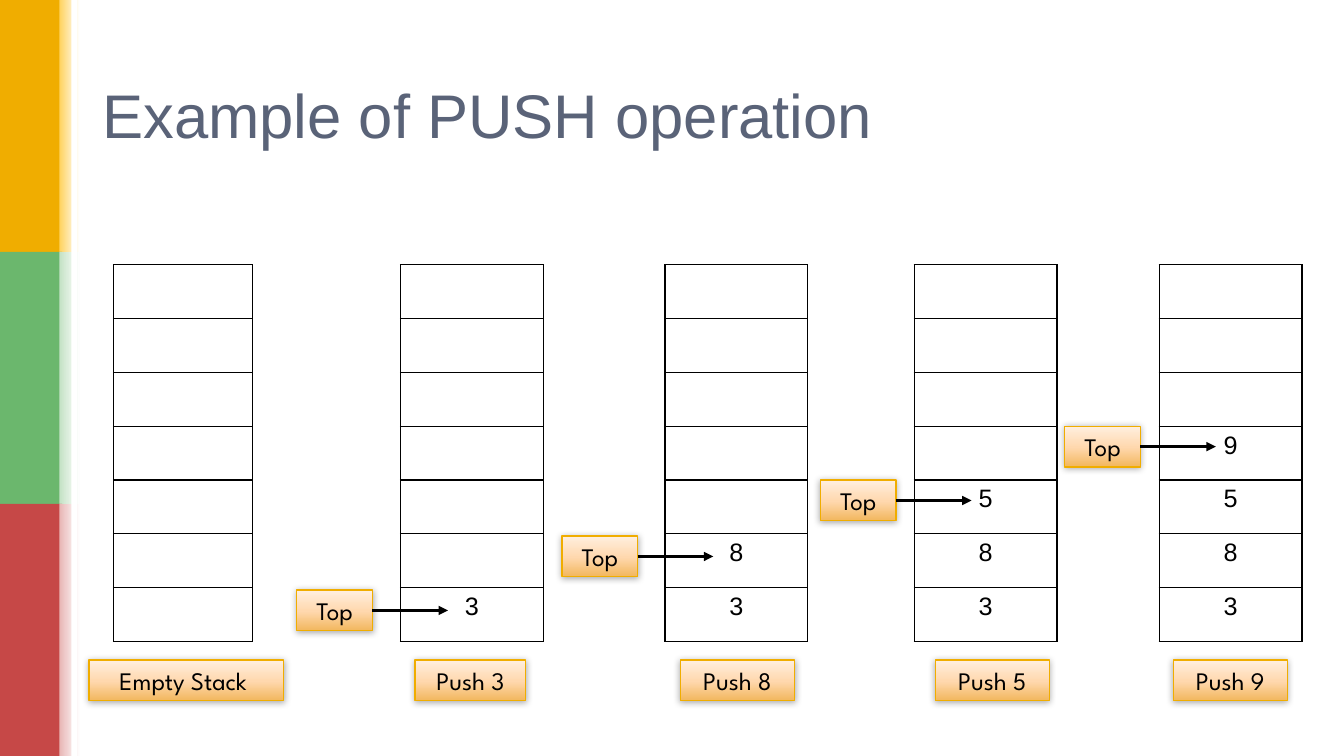
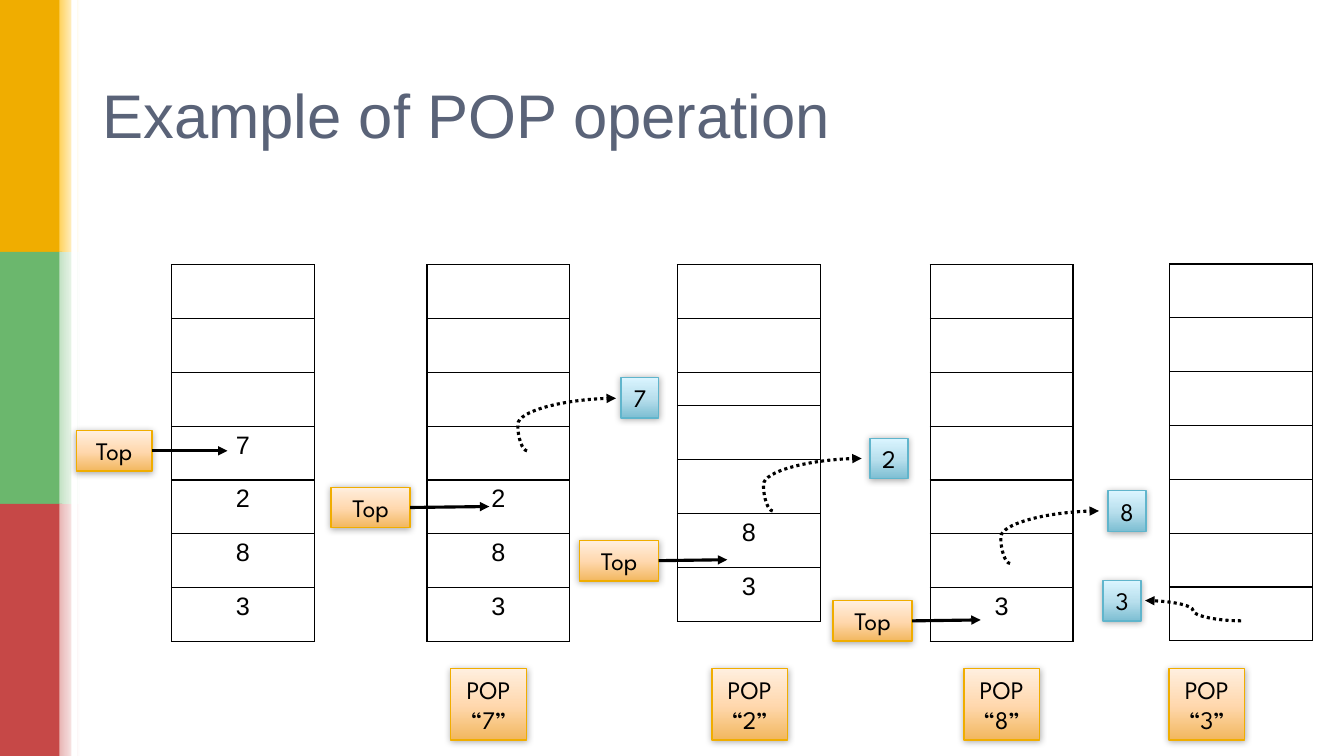
from copy import deepcopy
from lxml import etree
from pptx import Presentation
from pptx.dml.color import RGBColor
from pptx.enum.dml import MSO_LINE
from pptx.enum.shapes import MSO_CONNECTOR, MSO_SHAPE
from pptx.enum.text import MSO_ANCHOR, PP_ALIGN
from pptx.oxml.ns import qn
from pptx.util import Pt

RECT = MSO_SHAPE.RECTANGLE
LINE = MSO_CONNECTOR.STRAIGHT
CURVE = MSO_CONNECTOR.CURVE
DOTS = MSO_LINE.ROUND_DOT
MIDDLE = MSO_ANCHOR.MIDDLE
CENTER = PP_ALIGN.CENTER

BLACK = RGBColor(0, 0, 0)
WHITE = RGBColor(255, 255, 255)
SLATE = RGBColor(0x5A, 0x63, 0x78)
GOLD = RGBColor(0xF0, 0xAD, 0x00)
GREEN = RGBColor(0x6B, 0xB7, 0x6D)
RED = RGBColor(0xC6, 0x48, 0x47)
CYAN = RGBColor(0x60, 0xB5, 0xCC)
PALE_GOLD = RGBColor(0xFF, 0xD2, 0x5D)
PALE_GREEN = RGBColor(0xC4, 0xE2, 0xC5)
PALE_RED = RGBColor(0xE8, 0xB6, 0xB5)

PEACH = (
    (0, RGBColor(0xF2, 0xB7, 0x5E)),
    (0.48, RGBColor(0xFF, 0xD8, 0xAE)),
    (1, RGBColor(0xFF, 0xEF, 0xDF)),
)
AQUA = (
    (0, RGBColor(0x7D, 0xBE, 0xD2)),
    (0.48, RGBColor(0xB8, 0xDF, 0xED)),
    (1, RGBColor(0xDB, 0xF5, 0xFF)),
)

TITLE = {"size": Pt(44), "name": "Arial"}
DIGIT = {"size": Pt(18), "name": "Arial"}
LABEL = {"size": Pt(18), "name": "League Spartan"}
SHADE = {"blurRad": "63500", "dist": "12700", "dir": "5400000", "rotWithShape": "0"}
BANDS = ((GOLD, PALE_GOLD), (GREEN, PALE_GREEN), (RED, PALE_RED))
ROWS, ROW, SHORT = 7, 38.47, 24

PAGES = [
    {
        "title": "Example of PUSH operation",
        "stacks": [
            (81, 189, 99.5, ""),
            (286, 189, 102, "3"),
            (475, 189, 102, "83"),
            (653, 189, 102, "583"),
            (828, 189, 102, "9583"),
        ],
        "labels": [
            (63.5, 471.5, 139, 29, "Empty Stack "),
            (296.5, 471.5, 79, 29, "Push 3"),
            (486, 471.5, 81.5, 29, "Push 8"),
            (668, 471.5, 81.5, 29, "Push 5"),
            (838, 471.5, 81.5, 29, "Push 9"),
        ],
        "tops": [
            (212, 421.5, 54, 54, 0),
            (401.5, 383, 54, 54, 0),
            (586, 343, 54, 54, 0),
            (760.5, 304.5, 54, 54, 0),
        ],
        "popped": [],
    },
    {
        "title": "Example of POP operation",
        "stacks": [
            (122.5, 189, 102, "7283"),
            (305, 189, 102, "283"),
            (484, 189, 102, "83"),
            (664.5, 189, 102, "3"),
            (835.5, 188.5, 102, ""),
        ],
        "short": (2, 2),
        "labels": [
            (322, 477.5, 54, 51, "POP “7”"),
            (508.5, 477.5, 54, 51, "POP “2”"),
            (688.5, 477.5, 54, 51, "POP “8”"),
            (835, 477.5, 54, 51, "POP “3”"),
        ],
        "tops": [
            (54.5, 307.5, 54, 54, 0),
            (236.5, 348, 56.5, 56.5, 0.7),
            (414, 386, 56.5, 49, 0.7),
            (595, 429, 56.5, 49, 0.7),
        ],
        "popped": [
            ("7", 443.5, 269.5, (376.5, 322, 440, 284.5), -10500),
            ("2", 621.5, 313, (552, 365, 615.5, 327.5), -10500),
            ("8", 791.5, 350.5, (721.5, 402.5, 785, 365), -10500),
            ("3", 788, 414.5, (886.5, 443.5, 818, 429), 50000),
        ],
    },
]


def block(page, spot, stops, edge=None, text=""):
    box = page.shapes.add_shape(RECT, *map(Pt, spot))
    box.shadow.inherit = False
    props = box._element.spPr
    if len(stops) == 1:
        box.fill.solid()
        box.fill.fore_color.rgb = stops[0][1]
    else:
        box.fill.gradient()
        box.fill.gradient_angle = 90 if edge else 0
        ramp = props.find(".//" + qn("a:gsLst"))
        for _ in stops[2:]:
            ramp.append(deepcopy(ramp[0]))
        for stop, (place, tint) in zip(box.fill.gradient_stops, stops):
            stop.color.rgb = tint
            stop.position = place
    if edge is None:
        box.line.fill.background()
        return
    box.line.color.rgb = edge
    box.line.width = Pt(1)
    effects = props.find(qn("a:effectLst"))
    shade = etree.SubElement(effects, qn("a:outerShdw"), SHADE)
    tint = etree.SubElement(shade, qn("a:srgbClr"), val="000000")
    etree.SubElement(tint, qn("a:alpha"), val="32000")
    frame = box.text_frame
    frame.word_wrap = True
    frame.vertical_anchor = MIDDLE
    para = frame.paragraphs[0]
    para.alignment = CENTER
    run = para.add_run()
    run.text = text
    run.font.color.rgb = BLACK
    for key, value in LABEL.items():
        setattr(run.font, key, value)


def arrow(page, kind, ends, bend=None):
    link = page.shapes.add_connector(kind, *map(Pt, ends))
    link.line.color.rgb = BLACK
    link.line.width = Pt(2.25)
    props = link._element.spPr
    if bend is not None:
        link.line.dash_style = DOTS
        guides = props.find(".//" + qn("a:avLst"))
        etree.SubElement(guides, qn("a:gd"), name="adj1", fmla=f"val {bend}")
    etree.SubElement(props.find(qn("a:ln")), qn("a:tailEnd"), type="triangle")
    etree.SubElement(props, qn("a:effectLst"))


deck = Presentation()
deck.slide_width, deck.slide_height = Pt(960), Pt(540)

for data in PAGES:
    page = deck.slides.add_slide(deck.slide_layouts[6])

    for row, (dark, pale) in enumerate(BANDS):
        block(page, (0, row * 180, 44.5, 180), ((0, dark),))
        block(page, (42.5, row * 180, 14.5, 180), ((0, pale), (1, WHITE)))
    block(page, (51, 0, 4, 540), ((0, WHITE),))

    title = page.shapes.add_textbox(Pt(66), Pt(29), Pt(828), Pt(104)).text_frame
    title.word_wrap = True
    title.vertical_anchor = MIDDLE
    run = title.paragraphs[0].add_run()
    run.text = data["title"]
    run.font.color.rgb = SLATE
    for key, value in TITLE.items():
        setattr(run.font, key, value)

    for col, (left, top, width, digits) in enumerate(data["stacks"]):
        spot = map(Pt, (left, top, width, ROWS * ROW))
        stack = page.shapes.add_table(ROWS, 1, *spot).table
        stack.first_row = stack.horz_banding = False
        for row, digit in enumerate(digits.rjust(ROWS)):
            cell = stack.cell(row, 0)
            stack.rows[row].height = Pt(ROW)
            if (col, row) == data.get("short"):
                stack.rows[row].height = Pt(SHORT)
                cell.margin_top = cell.margin_bottom = 0
            props = cell._tc.get_or_add_tcPr()
            for side in ("lnL", "lnR", "lnT", "lnB"):
                edge = etree.SubElement(props, qn("a:" + side), w="12700")
                fill = etree.SubElement(edge, qn("a:solidFill"))
                etree.SubElement(fill, qn("a:srgbClr"), val="000000")
            cell.fill.background()
            if digit.strip():
                para = cell.text_frame.paragraphs[0]
                para.alignment = CENTER
                run = para.add_run()
                run.text = digit
                run.font.color.rgb = BLACK
                for key, value in DIGIT.items():
                    setattr(run.font, key, value)

    for *spot, text in data["labels"]:
        block(page, spot, PEACH, GOLD, text)

    for left, top, width, reach, rise in data["tops"]:
        block(page, (left, top, width, 29), PEACH, GOLD, "Top")
        tail, mid = left + width, top + 14.5
        arrow(page, LINE, (tail, mid, tail + reach, mid - rise))

    for digit, left, top, ends, bend in data["popped"]:
        arrow(page, CURVE, ends, bend)
        block(page, (left, top, 27, 29), AQUA, CYAN, digit)

deck.save("out.pptx")
